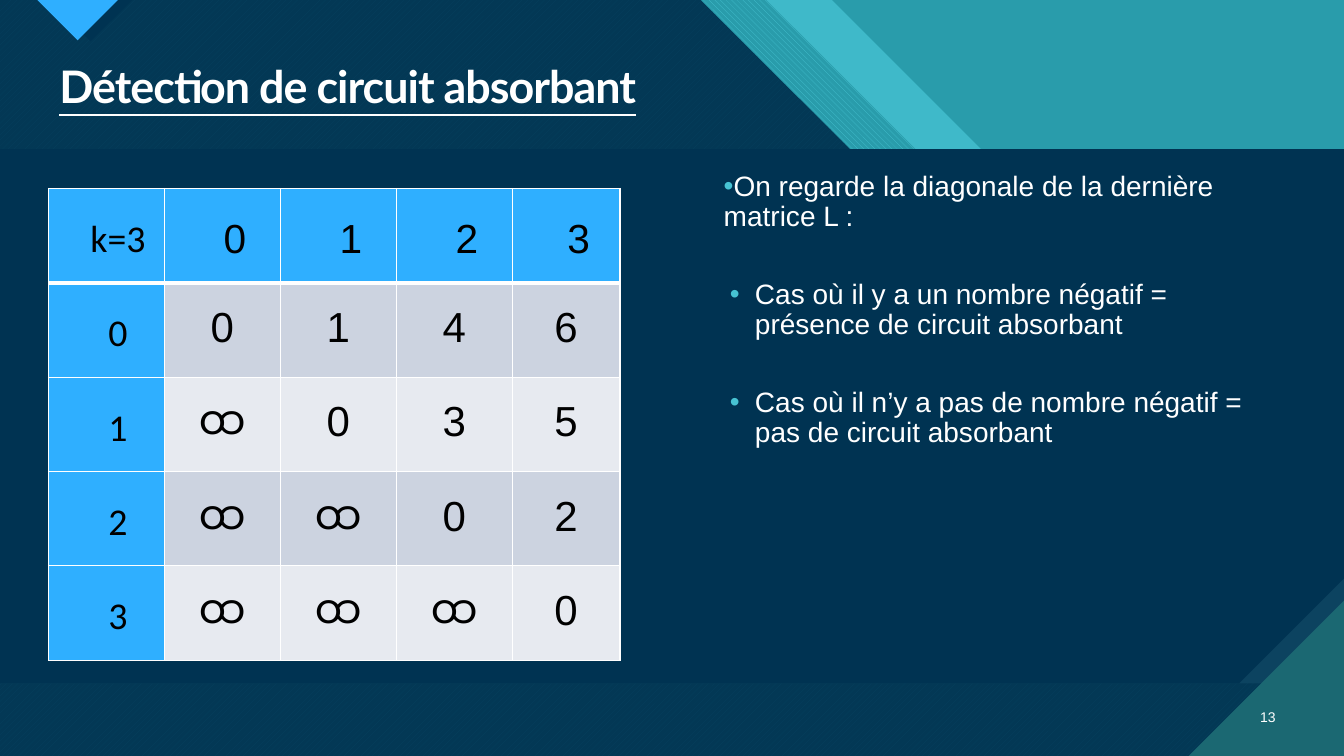
import lxml.etree
import pptx
import pptx.dml.color
import pptx.enum.dml
import pptx.enum.text
import pptx.oxml.ns
import pptx.util

Inches = pptx.util.Inches
Pt = pptx.util.Pt
Align = pptx.enum.text.PP_ALIGN
Anchor = pptx.enum.text.MSO_ANCHOR
Pattern = pptx.enum.dml.MSO_PATTERN

WIDTH, HEIGHT = 13.33, 7.5
PANEL_TOP, PANEL_BOTTOM = 1.48, 6.78
COLORS = {
    "teal": "299CAB",
    "light teal": "3FB9C9",
    "accent": "47C3D3",
    "deep teal": "1B6872",
    "navy": "003352",
    "navy hatch": "07415F",
    "navy ground": "033855",
    "slate": "0C4360",
    "blue": "2FAFFF",
    "odd row": "CCD3E0",
    "even row": "E7EAF0",
    "white": "FFFFFF",
    "black": "000000",
}
MATRIX = [
    ["k=3", "0", "1", "2", "3"],
    ["0", "0", "1", "4", "6"],
    ["1", "ထ", "0", "3", "5"],
    ["2", "ထ", "ထ", "0", "2"],
    ["3", "ထ", "ထ", "ထ", "0"],
]
COLUMN_WIDTHS = [1.15, 1.15, 1.15, 1.15, 1.07]
ROW_HEIGHT = 4.68 / len(MATRIX)
REMARKS = [
    ("On regarde la diagonale de la dernière matrice L :", 0),
    ("Cas où il y a un nombre négatif = présence de circuit absorbant", 0.31),
    ("Cas où il n’y a pas de nombre négatif = pas de circuit absorbant", 0.31),
]


def rgb(color):
    return pptx.dml.color.RGBColor.from_string(COLORS[color])


def add_element(parent, tag, **attributes):
    return lxml.etree.SubElement(parent, pptx.oxml.ns.qn(tag), attributes)


class MatrixSlide:
    def __init__(self, presentation):
        self.slide = presentation.slides.add_slide(presentation.slide_layouts[6])

    def background(self, color):
        fill = self.slide.background.fill
        fill.solid()
        fill.fore_color.rgb = rgb(color)

    def polygon(self, points, color, pattern=None, ground=None):
        corners = [(Inches(x), Inches(y)) for x, y in points]
        builder = self.slide.shapes.build_freeform(*corners[0], scale=1.0)
        builder.add_line_segments(corners[1:], close=True)
        shape = builder.convert_to_shape()
        shape.shadow.inherit = False
        shape.line.fill.background()
        if pattern is None:
            shape.fill.solid()
        else:
            shape.fill.patterned()
            shape.fill.pattern = pattern
            shape.fill.back_color.rgb = rgb(ground)
        shape.fill.fore_color.rgb = rgb(color)

    def style(self, paragraph, size, font="Arial", color="white"):
        paragraph.font.size = Pt(size)
        paragraph.font.name = font
        paragraph.font.color.rgb = rgb(color)

    def text_box(self, left, top, width, height, anchor=Anchor.TOP):
        box = self.slide.shapes.add_textbox(
            Inches(left), Inches(top), Inches(width), Inches(height))
        box.text_frame.word_wrap = True
        box.text_frame.vertical_anchor = anchor
        return box.text_frame

    def title(self, text):
        paragraph = self.text_box(0.49, 0.59, 12.26, 0.59).paragraphs[0]
        run = paragraph.add_run()
        run.text = text
        run._r.get_or_add_rPr().set("spc", "-70")
        self.style(paragraph, 32, "Lato")
        paragraph.font.bold = True
        paragraph.font.underline = True
        paragraph.line_spacing = 0.9

    def page_number(self, text):
        paragraph = self.text_box(12.31, 6.91, 0.44, 0.4, Anchor.MIDDLE).paragraphs[0]
        paragraph.text = text
        paragraph.alignment = Align.RIGHT
        paragraph.space_after = Pt(6)
        self.style(paragraph, 10)

    def bullets(self, remarks):
        frame = self.text_box(7.08, 1.66, 5.67, 5.1)
        for index, (text, margin) in enumerate(remarks):
            paragraph = frame.add_paragraph() if index else frame.paragraphs[0]
            paragraph.text = text
            paragraph.line_spacing = 0.9
            paragraph.space_after = Pt(34)
            properties = paragraph._p.get_or_add_pPr()
            properties.set("marL", str(Inches(margin)))
            properties.set("indent", str(Inches(-0.25)))
            bullet_color = add_element(properties, "a:buClr")
            add_element(bullet_color, "a:srgbClr", val=COLORS["accent"])
            add_element(properties, "a:buFont", typeface="Arial")
            add_element(properties, "a:buChar", char="•")
            self.style(paragraph, 20)

    def cell(self, cell, text, row, column):
        bottom = 3 if row == 0 else 1
        top = 3 if row == 1 else 1
        properties = cell._tc.get_or_add_tcPr()
        for side, weight in zip("LRTB", (1, 1, top, bottom)):
            line = add_element(properties, f"a:ln{side}", w=str(Pt(weight)))
            fill = add_element(line, "a:solidFill")
            add_element(fill, "a:srgbClr", val=COLORS["white"])
        if column == 0:
            size, font, margins = 27, "Calibri", (0.25, 0.2, 0.02, 0.2)
        elif row == 0:
            size, font, margins = 29, "Arial", (0.27, 0.21, 0.02, 0.21)
        else:
            size, font, margins = 30, "Arial", (0.01, 0.01, 0.01, 0.05)
        heading = row == 0 or column == 0
        cell.margin_left, cell.margin_top, cell.margin_right, cell.margin_bottom = map(
            Inches, margins)
        cell.vertical_anchor = Anchor.BOTTOM if heading else Anchor.MIDDLE
        cell.fill.solid()
        band = "odd row" if row % 2 else "even row"
        cell.fill.fore_color.rgb = rgb("blue" if heading else band)
        paragraph = cell.text_frame.paragraphs[0]
        paragraph.text = text
        paragraph.alignment = Align.CENTER
        self.style(paragraph, size, font, "black")

    def table(self, matrix):
        table = self.slide.shapes.add_table(
            len(matrix), len(matrix[0]), Inches(0.48), Inches(1.87),
            Inches(sum(COLUMN_WIDTHS)), Inches(ROW_HEIGHT * len(matrix))).table
        for column, width in zip(table.columns, COLUMN_WIDTHS):
            column.width = Inches(width)
        for row_index, values in enumerate(matrix):
            table.rows[row_index].height = Inches(ROW_HEIGHT)
            for column_index, text in enumerate(values):
                self.cell(table.cell(row_index, column_index), text,
                          row_index, column_index)


def main():
    presentation = pptx.Presentation()
    presentation.slide_width = Inches(WIDTH)
    presentation.slide_height = Inches(HEIGHT)
    page = MatrixSlide(presentation)
    page.background("teal")

    diagonal_bands = [
        (8.25, "light teal", None, None),
        (7.6, "accent", Pattern.WIDE_DOWNWARD_DIAGONAL, "teal"),
        (6.95, "navy hatch", Pattern.WIDE_UPWARD_DIAGONAL, "navy ground"),
    ]
    for edge, color, pattern, ground in diagonal_bands:
        outline = [(0, 0), (edge, 0), (edge + PANEL_TOP, PANEL_TOP),
                   (WIDTH, PANEL_TOP), (WIDTH, HEIGHT), (0, HEIGHT)]
        page.polygon(outline, color, pattern, ground)

    page.polygon([(0.48, 0), (1.31, 0), (0.9, 0.41)], "navy")
    page.polygon([(0.37, 0), (1.17, 0), (0.77, 0.4)], "blue")
    for snip, color in [(0, "slate"), (1.04, "navy")]:
        page.polygon([(0, PANEL_TOP), (WIDTH, PANEL_TOP), (WIDTH, PANEL_BOTTOM - snip),
                      (WIDTH - snip, PANEL_BOTTOM), (0, PANEL_BOTTOM)], color)
    page.polygon([(11.79, HEIGHT), (WIDTH, HEIGHT), (WIDTH, 5.96)], "deep teal")

    page.title("Détection de circuit absorbant")
    page.page_number("13")
    page.bullets(REMARKS)
    page.table(MATRIX)
    presentation.save("out.pptx")


if __name__ == "__main__":
    main()
